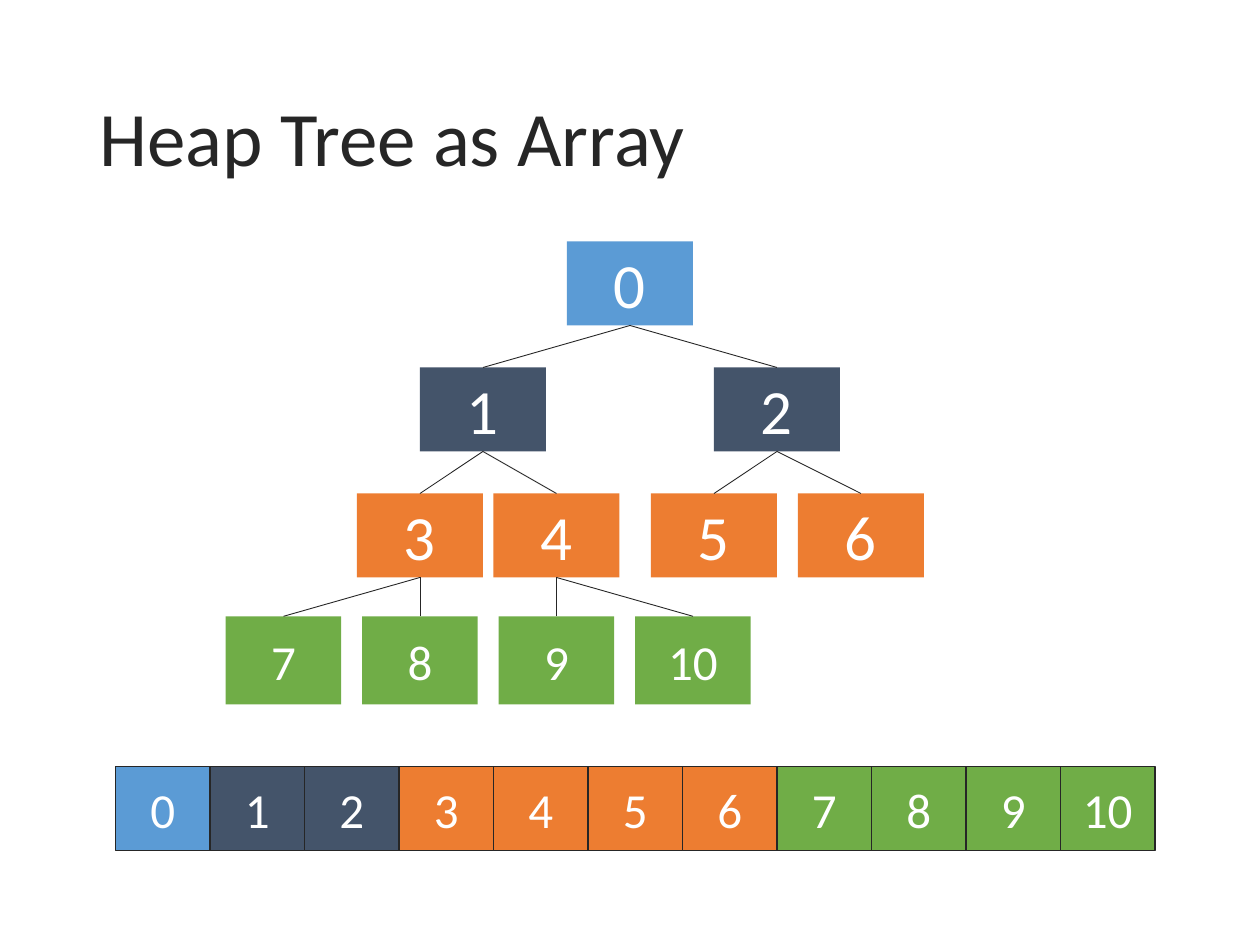
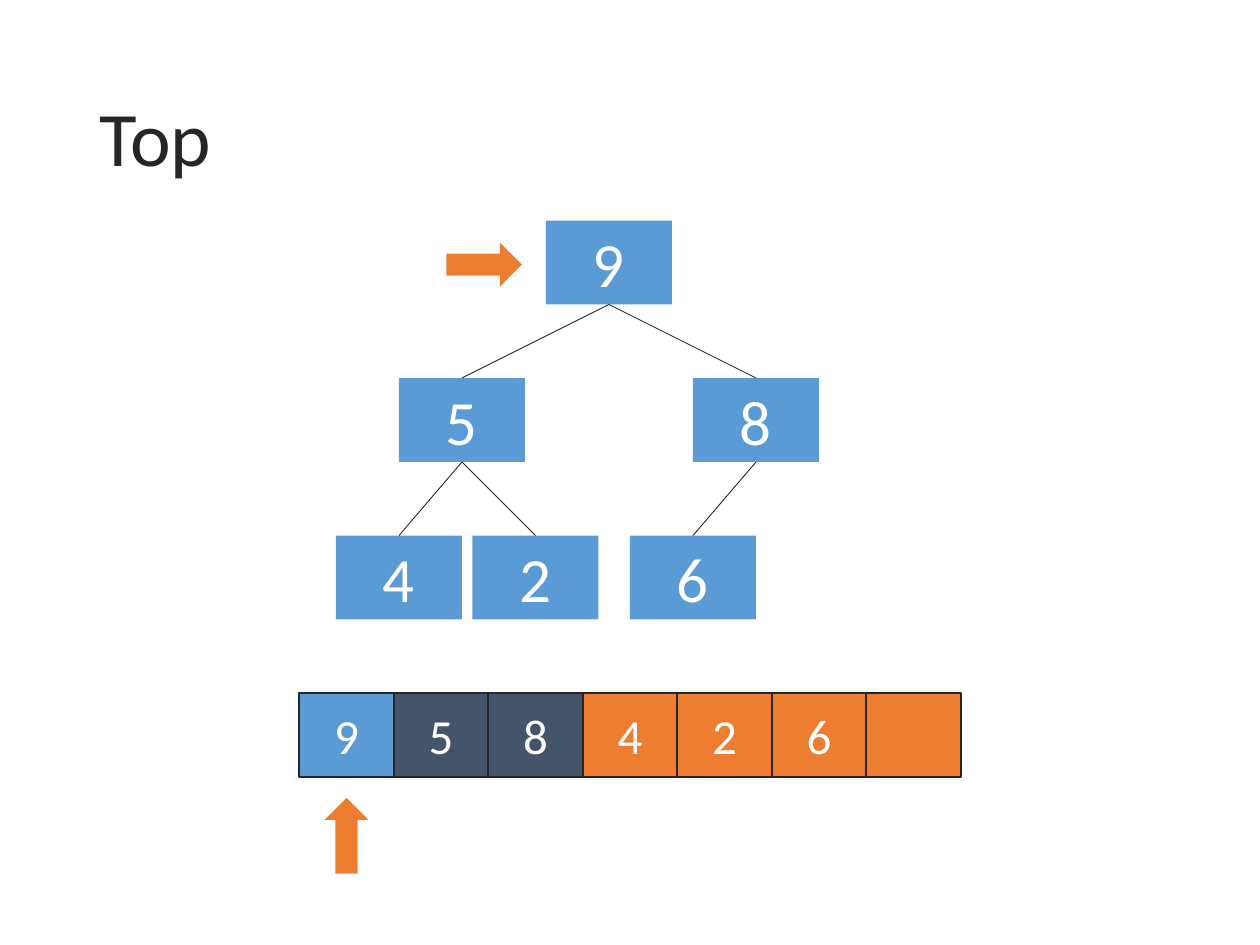
from dataclasses import dataclass

from lxml import etree
from pptx import Presentation
from pptx import util as u
from pptx.dml.color import RGBColor
from pptx.enum import shapes, text
from pptx.oxml.ns import qn

PX = 7620  # EMU per px, 120 px to the inch
SLIDE_W, SLIDE_H = 1200, 900
NODE_W, NODE_H = 120, 80
LEAF_W, LEAF_H = 110, 84
CELL_W, CELL_H = 90, 80
ARROW_W, ARROW_H = 42, 72


@dataclass(frozen=True)
class Theme:
    font: str = "Calibri"
    ink: str = "262626"
    white: str = "FFFFFF"
    accent: str = "ED7D31"
    levels: tuple = ("5B9BD5", "44546A", "ED7D31", "70AD47")
    title_size: int = 44
    node_size: int = 36
    cell_size: int = 28
    edge_width: float = 0.5
    cell_line: float = 1


THEME = Theme()


def px(length):
    return u.Emu(round(length * PX))


def rgb(code):
    return RGBColor.from_string(code)


def level_of(index):
    """Depth of a heap index, the root being at depth 0."""
    return (index + 1).bit_length() - 1


def write(shape, words, size, color=THEME.white, align=text.PP_ALIGN.CENTER,
          spacing=1.0):
    frame = shape.text_frame
    frame.word_wrap = True
    frame.vertical_anchor = text.MSO_ANCHOR.MIDDLE
    line = frame.paragraphs[0]
    line.alignment = align
    line.line_spacing = spacing
    run = line.add_run()
    run.text = words
    run.font.name = THEME.font
    run.font.size = u.Pt(size)
    run.font.color.rgb = rgb(color)


def add_title(slide, words):
    title = slide.shapes.add_textbox(px(83), px(48), px(1034), px(174))
    write(title, words, THEME.title_size, THEME.ink, text.PP_ALIGN.LEFT, 0.9)


def add_block(parent, kind, left, top, width, height, fill, outline=None):
    block = parent.shapes.add_shape(kind, px(left), px(top), px(width), px(height))
    block.shadow.inherit = False
    block.fill.solid()
    block.fill.fore_color.rgb = rgb(fill)
    if outline:
        block.line.color.rgb = rgb(THEME.ink)
        block.line.width = u.Pt(outline)
    else:
        block.line.fill.background()
    return block


def add_edge(slide, child, parent):
    edge = slide.shapes.add_connector(shapes.MSO_CONNECTOR.STRAIGHT, 0, 0, 0, 0)
    edge.begin_connect(child, 0)
    edge.end_connect(parent, 2)
    edge.line.color.rgb = rgb(THEME.ink)
    edge.line.width = u.Pt(THEME.edge_width)
    etree.SubElement(edge._element.spPr, qn("a:effectLst"))


def add_tree(slide, values, centers, tops, colors):
    """Draw nodes in heap order, each joined to its parent."""
    nodes = []
    for index, (value, center) in enumerate(zip(values, centers)):
        level = level_of(index)
        if level < 3:
            width, height, size = NODE_W, NODE_H, THEME.node_size
        else:
            width, height, size = LEAF_W, LEAF_H, THEME.cell_size
        node = add_block(slide, shapes.MSO_SHAPE.RECTANGLE, center - width / 2,
                         tops[level], width, height, colors[level])
        write(node, str(value), size)
        if nodes:
            add_edge(slide, node, nodes[(index - 1) // 2])
        nodes.append(node)


def add_array(slide, values, left, top):
    cells = slide.shapes.add_group_shape()
    for index, value in enumerate(values):
        cell = add_block(cells, shapes.MSO_SHAPE.RECTANGLE, left + index * CELL_W,
                         top, CELL_W, CELL_H, THEME.levels[level_of(index)],
                         THEME.cell_line)
        if value is not None:
            write(cell, str(value), THEME.cell_size)


def add_pointer(slide, center_x, center_y, rotation=0):
    pointer = add_block(slide, shapes.MSO_SHAPE.UP_ARROW, center_x - ARROW_W / 2,
                        center_y - ARROW_H / 2, ARROW_W, ARROW_H, THEME.accent)
    pointer.rotation = rotation


def heap_as_array(slide):
    add_title(slide, "Heap Tree as Array")
    indices = range(11)
    add_array(slide, indices, 110, 730)
    centers = (600, 460, 740, 400, 530, 680, 820, 270, 400, 530, 660)
    add_tree(slide, indices, centers, (230, 350, 470, 587), THEME.levels)


def heap_top(slide):
    add_title(slide, "Top")
    heap = [9, 5, 8, 4, 2, 6]
    centers = (580, 440, 720, 380, 510, 660)
    add_tree(slide, heap, centers, (210, 360, 510), THEME.levels[:1] * 3)
    # The last cell is free
    array_left = 285
    add_array(slide, heap + [None], array_left, 660)
    # Pointers to the top in the array and in the tree
    add_pointer(slide, array_left + CELL_W / 2, 796)
    add_pointer(slide, 461, 252, rotation=90)


def main():
    deck = Presentation()
    deck.slide_width, deck.slide_height = px(SLIDE_W), px(SLIDE_H)
    for build in (heap_as_array, heap_top):
        build(deck.slides.add_slide(deck.slide_layouts[6]))
    deck.save("out.pptx")


if __name__ == "__main__":
    main()
